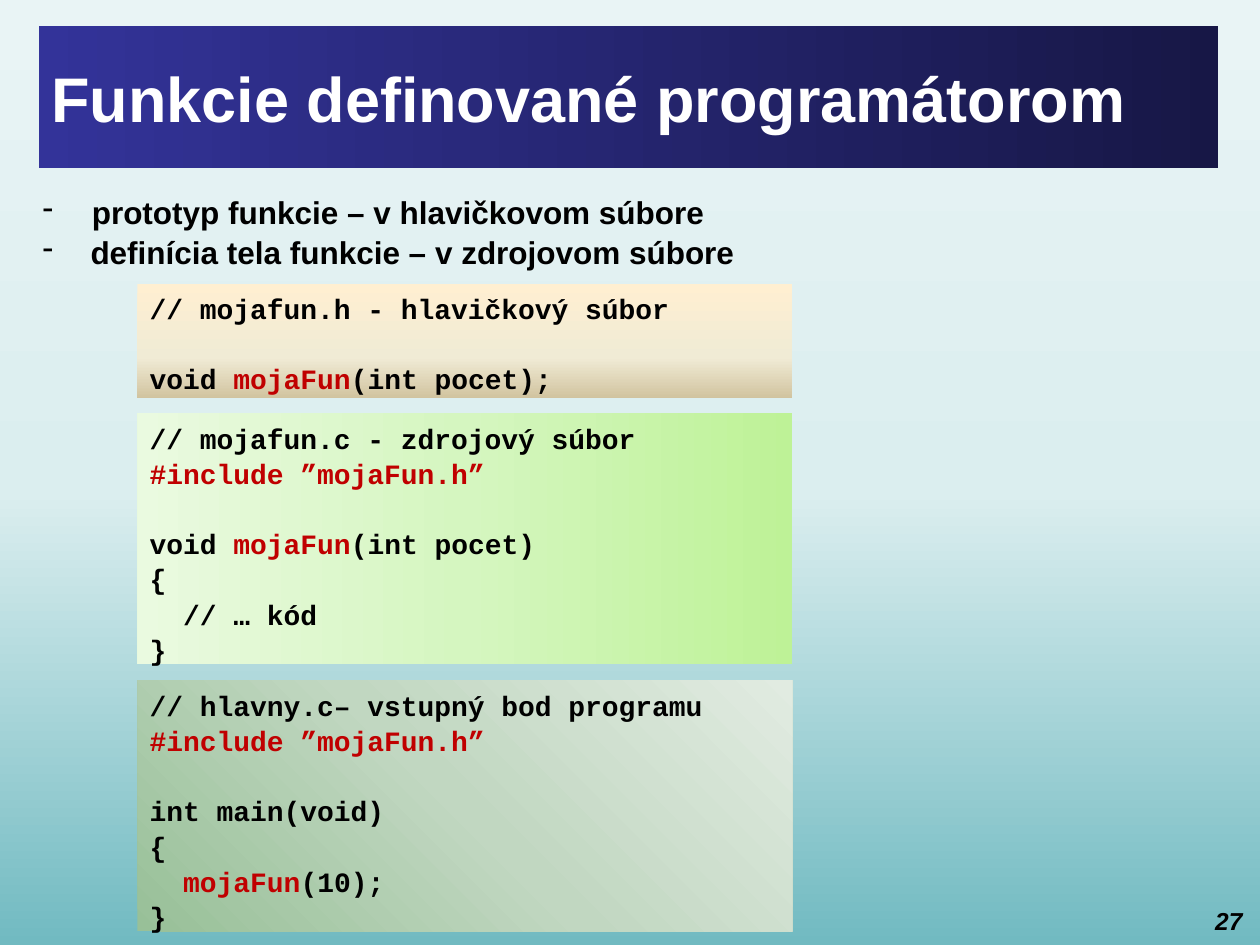
from lxml.etree import SubElement
from pptx import Presentation
from pptx.dml.color import RGBColor
from pptx.enum.shapes import MSO_SHAPE as Shape
from pptx.enum.text import MSO_ANCHOR as Anchor, PP_ALIGN as Align
from pptx.oxml.ns import qn
from pptx.util import Inches, Pt

COLUMNS, ROWS = 100, 75
CELL = Inches(0.1)
CODE_LEFT, CODE_WIDTH = 10.9, 52
BLACK, WHITE, RED = "000000", "FFFFFF", "C00000"
INCLUDE = [("#include ”mojaFun.h”", RED)]
CALL = ("mojaFun", RED)

HEADER_CODE = [
    [("// mojafun.h - hlavičkový súbor", BLACK)],
    [],
    [("void ", BLACK), CALL, ("(int pocet);", BLACK)],
]
SOURCE_CODE = [
    [("// mojafun.c - zdrojový súbor", BLACK)],
    INCLUDE,
    [],
    [("void ", BLACK), CALL, ("(int pocet)", BLACK)],
    [("{", BLACK)],
    [("  // … kód", BLACK)],
    [("}", BLACK)],
]
MAIN_CODE = [
    [("// hlavny.c– vstupný bod programu", BLACK)],
    INCLUDE,
    [],
    [("int main(void)", BLACK)],
    [("{", BLACK)],
    [("  ", BLACK), CALL, ("(10);", BLACK)],
    [("}", BLACK)],
]


def color(value):
    """Turn a hex string into a colour."""
    return RGBColor.from_string(value)


def grid(*cells):
    """Turn counts of grid cells into lengths."""
    return [round(count * CELL) for count in cells]


def paint_gradient(fill, element, stops, angle):
    """Fill with a linear gradient whose angle runs clockwise."""
    fill.gradient()
    fill.gradient_angle = (360 - angle) % 360
    stop_list = next(element.iter(qn("a:gsLst")))
    for old_stop in list(stop_list):
        stop_list.remove(old_stop)
    for position, value in stops:
        stop = SubElement(stop_list, qn("a:gs"), pos=str(position * 1000))
        SubElement(stop, qn("a:srgbClr"), val=value)


def add_span(para, text, size, value=BLACK, font="Arial", italic=False):
    """Add one bold run to a paragraph."""
    span = para.add_run()
    span.text = text
    span.font.name = font
    span.font.size = Pt(size)
    span.font.bold = True
    span.font.italic = italic
    span.font.color.rgb = color(value)


def add_panel(page, cells, stops, angle, anchor=Anchor.TOP):
    """Add a borderless gradient rectangle and return its text frame."""
    panel = page.shapes.add_shape(Shape.RECTANGLE, *grid(*cells))
    panel.shadow.inherit = False
    panel.line.fill.background()
    paint_gradient(panel.fill, panel.element, stops, angle)
    frame = panel.text_frame
    frame.word_wrap = True
    frame.vertical_anchor = anchor
    frame.paragraphs[0].alignment = Align.LEFT
    return frame


def add_box(page, cells):
    """Add a wrapping text box and return its text frame."""
    frame = page.shapes.add_textbox(*grid(*cells)).text_frame
    frame.word_wrap = True
    return frame


def next_para(frame, index):
    """Return the first paragraph, or a new one after it."""
    return frame.add_paragraph() if index else frame.paragraphs[0]


def add_code(page, top, height, stops, angle, lines):
    """Add a code listing on a gradient panel."""
    frame = add_panel(page, (CODE_LEFT, top, CODE_WIDTH, height), stops, angle)
    for index, line in enumerate(lines):
        para = next_para(frame, index)
        para.alignment = Align.LEFT
        para.line_spacing = 1.05
        for text, value in line:
            add_span(para, text, 16, value, "Courier New")
        if not line:
            SubElement(para._p, qn("a:endParaRPr"), sz="1600", b="1")


def add_dashes(page, cells, items):
    """Add a dashed list of texts, each with its own indent in inches."""
    frame = add_box(page, cells)
    for index, (text, indent) in enumerate(items):
        para = next_para(frame, index)
        para.line_spacing = 1.05
        props = para._p.get_or_add_pPr()
        props.set("marL", str(Inches(indent)))
        props.set("indent", str(-Inches(indent)))
        SubElement(props, qn("a:buFontTx"))
        SubElement(props, qn("a:buChar"), char="-")
        add_span(para, text, 18)


def main():
    """Build the slide and save it."""
    deck = Presentation()
    deck.slide_width, deck.slide_height = grid(COLUMNS, ROWS)
    page = deck.slides.add_slide(deck.slide_layouts[6])
    paint_gradient(page.background.fill, page.element,
                   [(0, "71BAC1"), (48, "DBEEEF"), (100, "E9F4F5")], 270)

    title = add_panel(page, (3.1, 2.1, 93.6, 11.2),
                      [(0, "333399"), (100, "171746")], 0, Anchor.MIDDLE)
    add_span(title.paragraphs[0], "Funkcie definované programátorom", 36, WHITE)

    add_dashes(page, (2.4, 14.7, 93.8, 7.1), [
        ("prototyp funkcie – v hlavičkovom súbore", 0.39),
        ("definícia tela funkcie – v zdrojovom súbore", 0.38),
    ])
    add_code(page, 22.5, 9.1,
             [(0, "FFEFD1"), (65, "F0EBD5"), (100, "D1C39F")], 90, HEADER_CODE)
    add_code(page, 32.8, 19.9,
             [(0, "BEF297"), (50, "D5F6C0"), (100, "EAFAE0")], 180, SOURCE_CODE)
    add_code(page, 54, 19.9,
             [(0, "98C098"), (50, "C1D7C1"), (100, "E1EBE1")], 315, MAIN_CODE)

    number = add_box(page, (94.3, 71.4, 5.3, 3.1)).paragraphs[0]
    number.alignment = Align.RIGHT
    add_span(number, "27", 14, italic=True)
    deck.save("out.pptx")


if __name__ == "__main__":
    main()
